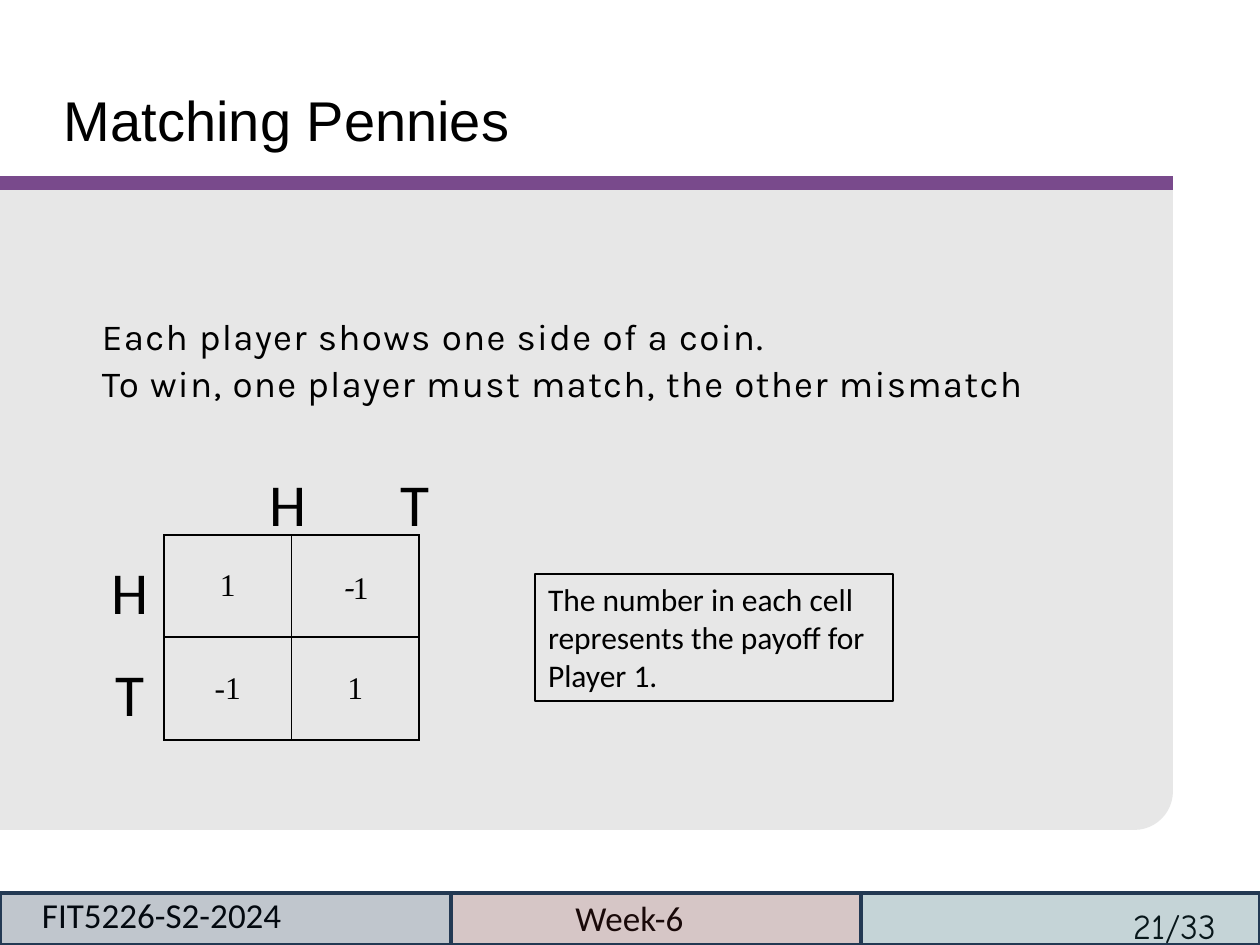
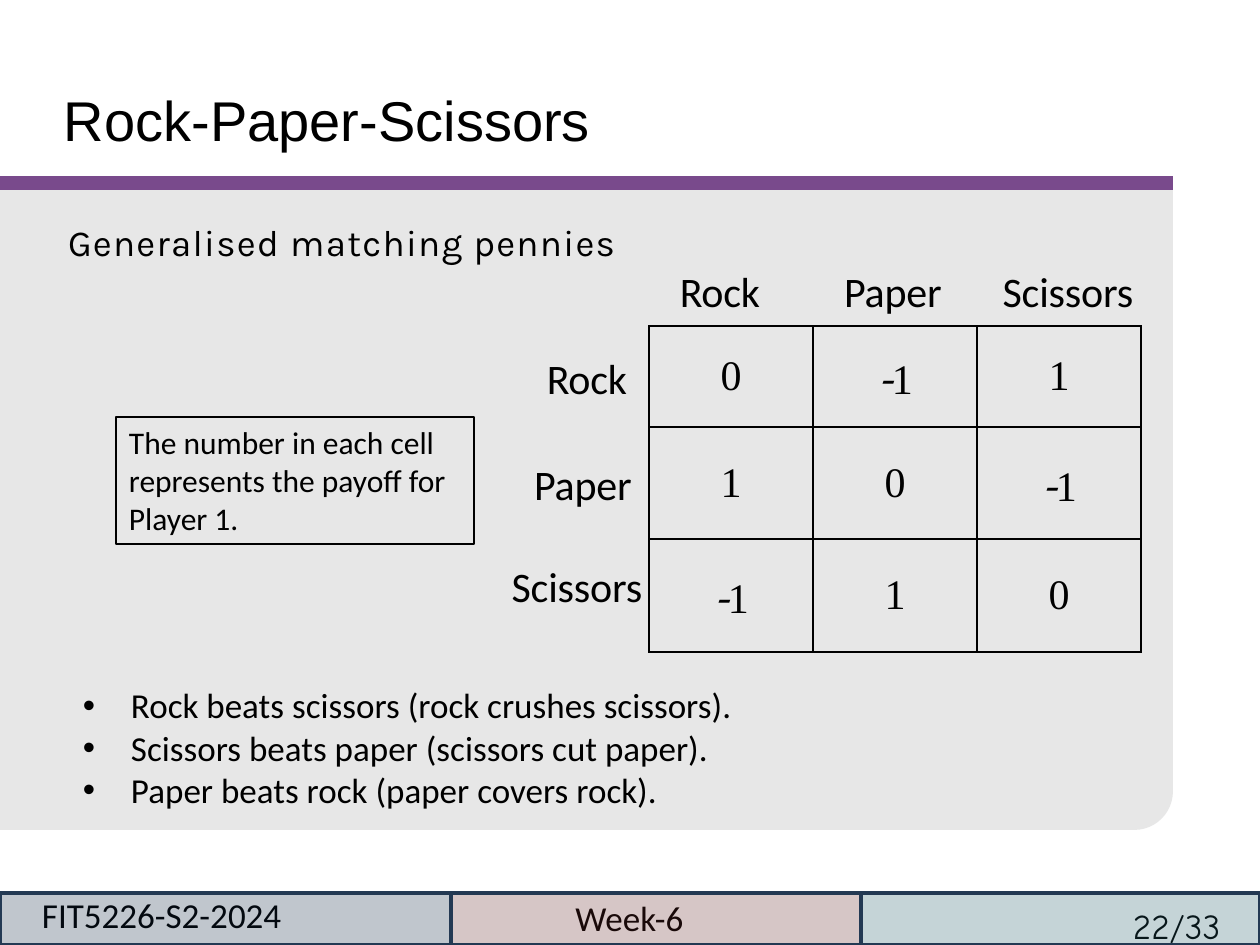
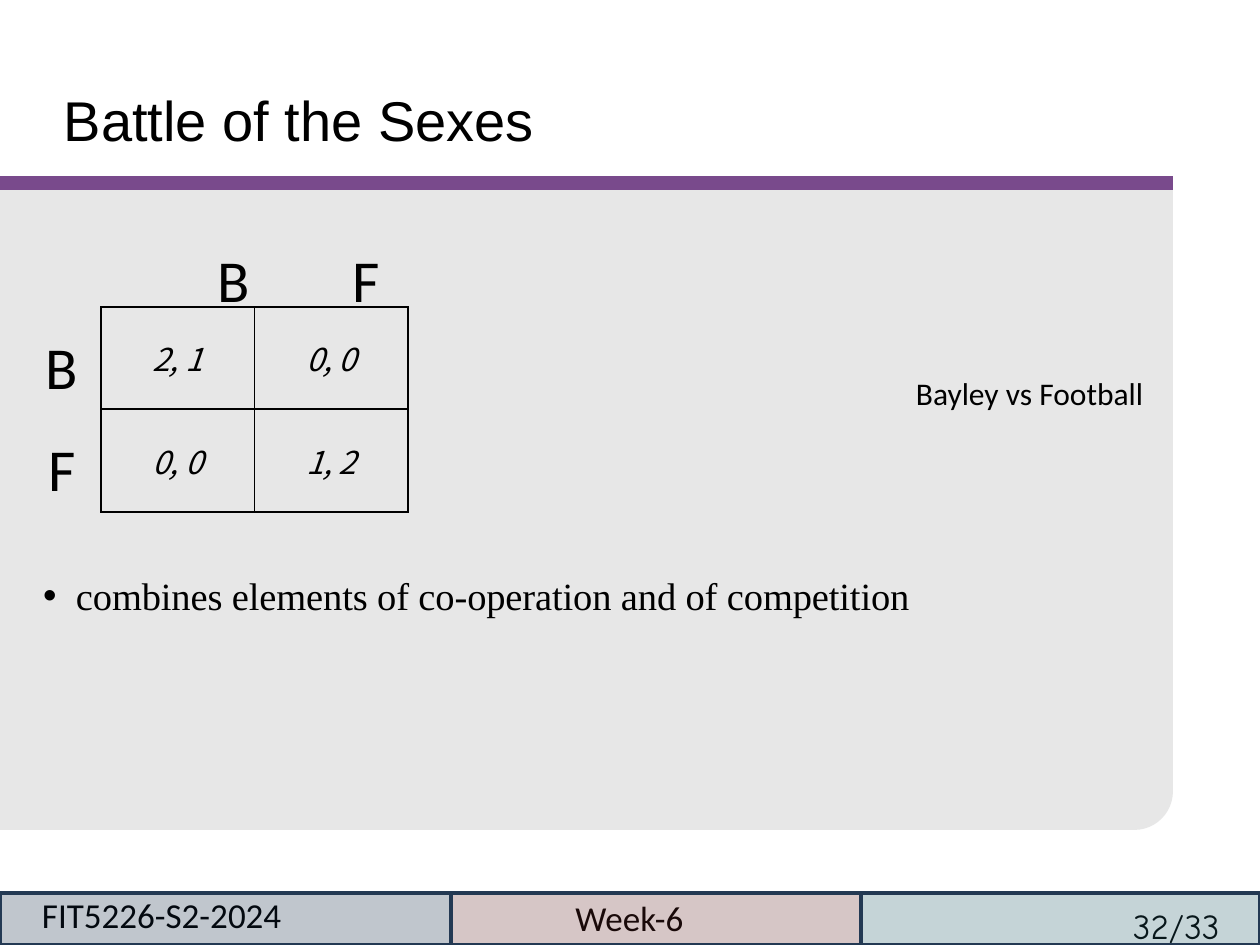
from dataclasses import dataclass

from lxml import etree
from pptx import Presentation
from pptx import util as u
from pptx.dml.color import RGBColor
from pptx.enum import shapes, text
from pptx.oxml import ns

EMU_PER_PX = 914400 / 126
WIDTH, HEIGHT = 1260, 945
TITLE_ONLY = 5


@dataclass(frozen=True)
class Theme:
    ink: str = "000000"
    panel: str = "E7E7E7"
    rule: str = "794A8C"
    footer_line: str = "233953"
    footer_fills: tuple = ("0F243E", "632523", "215968")
    footer_opacity: int = 26
    heading: str = "Arial"
    body: str = "Calibri"
    lead: str = "Karla"
    number: str = "Times New Roman"
    symbol: str = "Noto Sans CJK JP"
    page: str = "Comic Neue"
    title_size: int = 32
    lead_size: int = 21
    big_label_size: int = 34
    label_size: int = 24
    point_size: int = 22
    text_size: int = 20
    note_size: int = 18


THEME = Theme()


@dataclass(frozen=True)
class Style:
    font: str
    size: int
    italic: bool = False
    spacing: float = 0


LEAD = Style(THEME.lead, THEME.lead_size, spacing=0.75)
TEXT = Style(THEME.body, THEME.text_size)
NOTE = Style(THEME.body, THEME.note_size)
BIG_LABEL = Style(THEME.body, THEME.big_label_size)
LABEL = Style(THEME.body, THEME.label_size, spacing=-0.1)


def px(value):
    return u.Emu(round(value * EMU_PER_PX))


def color(value):
    return RGBColor.from_string(value)


def child(parent, tag, **attributes):
    return etree.SubElement(parent, ns.qn(tag), **attributes)


def add_run(paragraph, words, style):
    run = paragraph.add_run()
    run.text = words
    run.font.name = style.font
    run.font.size = u.Pt(style.size)
    run.font.italic = style.italic
    run.font.color.rgb = color(THEME.ink)
    if style.spacing:
        run.font._element.set("spc", str(round(style.spacing * 100)))


def set_bullet(paragraph, indent):
    properties = paragraph._p.get_or_add_pPr()
    properties.set("marL", str(px(indent)))
    properties.set("indent", str(-px(indent)))
    child(properties, "a:buFont", typeface="Arial")
    child(properties, "a:buChar", char="•")


def set_frame(frame, margins=(0, 0), anchor=text.MSO_ANCHOR.TOP, wrap=True):
    """Margins are the horizontal and the vertical inset."""
    frame.margin_left = frame.margin_right = px(margins[0])
    frame.margin_top = frame.margin_bottom = px(margins[1])
    frame.vertical_anchor = anchor
    frame.word_wrap = wrap


def write_lines(frame, lines, style, align=text.PP_ALIGN.LEFT, gap=0, bullet=0):
    for index, line in enumerate(lines):
        paragraph = frame.add_paragraph() if index else frame.paragraphs[0]
        paragraph.alignment = align
        if index and gap:
            paragraph.space_before = u.Pt(gap)
        if bullet:
            set_bullet(paragraph, bullet)
        add_run(paragraph, line, style)


def add_text(slide, box, lines, style, align=text.PP_ALIGN.LEFT, gap=0, bullet=0, **frame_options):
    shape = slide.shapes.add_textbox(*map(px, box))
    set_frame(shape.text_frame, **frame_options)
    write_lines(shape.text_frame, lines, style, align, gap, bullet)


def add_box(slide, kind, box, fill=None, line=None, line_width=1):
    shape = slide.shapes.add_shape(kind, *map(px, box))
    shape.shadow.inherit = False
    if fill:
        shape.fill.solid()
        shape.fill.fore_color.rgb = color(fill)
    else:
        shape.fill.background()
    if line:
        shape.line.color.rgb = color(line)
        shape.line.width = u.Pt(line_width)
    else:
        shape.line.fill.background()
    return shape


def add_panel(slide, box):
    """Grey panel, rounded at its lower right, under a thick rule."""
    left, top, width, height = box
    panel = add_box(slide, shapes.MSO_SHAPE.ROUND_1_RECTANGLE, box, THEME.panel)
    panel.adjustments[0] = round(40 / height, 2)
    panel._element.spPr.xfrm.set("flipV", "1")
    rule_y = top - 5
    rule = slide.shapes.add_connector(
        shapes.MSO_CONNECTOR.STRAIGHT, px(left), px(rule_y), px(left + width), px(rule_y))
    rule.line.color.rgb = color(THEME.rule)
    rule.line.width = u.Pt(8)
    child(rule._element.spPr, "a:effectLst")


def add_footer(slide, box, page):
    left, top, width, height = box
    add_text(slide, (left + 34, top - 7, 256, 57), ["FIT5226-S2-2024"], TEXT,
             margins=(8, 8), anchor=text.MSO_ANCHOR.MIDDLE, wrap=False)
    add_text(slide, (left + 1120, top + 5, 140, 47), [page],
             Style(THEME.page, THEME.text_size), margins=(13, 6), wrap=False)
    add_text(slide, (left + 428, top + 4, 403, 48), ["Week-6"], TEXT, text.PP_ALIGN.CENTER)
    edges = (0, 451, 861, width)
    for start, end, fill in zip(edges, edges[1:], THEME.footer_fills):
        band = add_box(slide, shapes.MSO_SHAPE.RECTANGLE, (left + start, top, end - start, height),
                       fill, THEME.footer_line, 2)
        fill_color = band._element.spPr.find(".//" + ns.qn("a:srgbClr"))
        child(fill_color, "a:alpha", val=str(THEME.footer_opacity * 1000))


def new_slide(presentation, title, page):
    slide = presentation.slides.add_slide(presentation.slide_layouts[TITLE_ONLY])
    heading = slide.shapes.title
    heading.left, heading.top, heading.width, heading.height = map(px, (63, 79, 1133, 70))
    set_frame(heading.text_frame, margins=(1, 6))
    write_lines(heading.text_frame, [title], Style(THEME.heading, THEME.title_size))
    add_panel(slide, (0, 188, 1173, 642))
    add_footer(slide, (0, 893, WIDTH, 52), page)
    return slide


def add_borders(cell):
    properties = cell._tc.get_or_add_tcPr()
    for index, side in enumerate(("a:lnL", "a:lnR", "a:lnT", "a:lnB")):
        line = etree.Element(ns.qn(side), w=str(u.Pt(1)))
        child(child(line, "a:solidFill"), "a:srgbClr", val=THEME.ink)
        properties.insert(index, line)


def add_payoffs(slide, box, row_heights, payoffs):
    """Each payoff is a list of (words, style) runs."""
    column_count = len(payoffs[0])
    table = slide.shapes.add_table(len(payoffs), column_count, *map(px, box)).table
    table.first_row = table.horz_banding = False
    for column in table.columns:
        column.width = px(box[2] / column_count)
    for row, height, row_payoffs in zip(table.rows, row_heights, payoffs):
        row.height = px(height)
        for cell, runs in zip(row.cells, row_payoffs):
            cell.fill.solid()
            cell.fill.fore_color.rgb = color(THEME.panel)
            cell.margin_left = cell.margin_right = cell.margin_top = cell.margin_bottom = 0
            cell.vertical_anchor = text.MSO_ANCHOR.MIDDLE
            add_borders(cell)
            paragraph = cell.text_frame.paragraphs[0]
            paragraph.alignment = text.PP_ALIGN.CENTER
            for words, style in runs:
                add_run(paragraph, words, style)


def add_game(slide, box, row_heights, payoffs, moves, column_centers, row_centers, style):
    """Payoff table with its moves; the centers are offsets from the table's corner."""
    left, top = box[:2]
    width, height = 140, round(style.size * 2.14)
    for centers in (column_centers, row_centers):
        for move, (x, y) in zip(moves, centers):
            label_box = (left + x - width // 2, top + y - height // 2, width, height)
            add_text(slide, label_box, [move], style, text.PP_ALIGN.CENTER)
    add_payoffs(slide, box, row_heights, payoffs)


def number_runs(size):
    """Runs for 0, for 1 and for -1 with a slanted minus."""
    number = Style(THEME.number, size)
    minus = Style(THEME.symbol, size, italic=True, spacing=-0.5)
    return [("0", number)], [("1", number)], [("-", minus), ("1", number)]


def add_payoff_note(slide, left, top):
    note = add_box(slide, shapes.MSO_SHAPE.RECTANGLE, (left, top, 358, 127),
                   line=THEME.ink, line_width=0.75)
    set_frame(note.text_frame, margins=(13, 6))
    write_lines(note.text_frame,
                ["The number in each cell represents the payoff for Player 1."], NOTE)


def build_matching_pennies(presentation):
    slide = new_slide(presentation, "Matching Pennies", "21/33")
    add_text(slide, (102, 314, 950, 96),
             ["Each player shows one side of a coin.",
              "To win, one player must match, the other mismatch"], LEAD, gap=1.6)
    _, win, loss = number_runs(THEME.note_size)
    plain_loss = [("-1", Style(THEME.number, THEME.note_size))]
    add_game(slide, (164, 535, 255, 205), (102, 103), [[win, loss], [plain_loss, win]],
             "HT", ((124, -32), (251, -32)), ((-34, 56), (-34, 158)), BIG_LABEL)
    add_payoff_note(slide, 535, 574)


def build_rock_paper_scissors(presentation):
    slide = new_slide(presentation, "Rock-Paper-Scissors", "22/33")
    add_text(slide, (68, 220, 563, 44), ["Generalised matching pennies"], LEAD)
    draw, win, loss = number_runs(THEME.label_size)
    add_game(slide, (649, 326, 492, 326), (101, 112, 113),
             [[draw, loss, win], [win, draw, loss], [loss, win, draw]],
             ("Rock", "Paper", "Scissors"), ((71, -35), (244, -35), (419, -35)),
             ((-62, 52), (-66, 158), (-72, 260)), LABEL)
    add_text(slide, (70, 678, 1120, 140),
             ["Rock beats scissors (rock crushes scissors).",
              "Scissors beats paper (scissors cut paper).",
              "Paper beats rock (paper covers rock)."], TEXT, bullet=48, margins=(13, 6))
    add_payoff_note(slide, 116, 417)


def build_battle_of_the_sexes(presentation):
    slide = new_slide(presentation, "Battle of the Sexes", "32/33")
    add_text(slide, (43, 572, 876, 42), ["combines elements of co-operation and of competition"],
             Style(THEME.number, THEME.point_size, spacing=-0.05), bullet=33)
    pair = Style(THEME.symbol, THEME.note_size, italic=True, spacing=-0.1)
    payoffs = [[[(words, pair)] for words in row] for row in (("2, 1", "0, 0"), ("0, 0", "1, 2"))]
    add_game(slide, (101, 307, 307, 205), (102, 103), payoffs,
             "BF", ((133, -28), (265, -28)), ((-39, 59), (-39, 161)), BIG_LABEL)
    add_text(slide, (903, 368, 255, 50), ["Bayley vs Football"], NOTE, margins=(13, 6), wrap=False)


def main():
    presentation = Presentation()
    presentation.slide_width, presentation.slide_height = px(WIDTH), px(HEIGHT)
    build_matching_pennies(presentation)
    build_rock_paper_scissors(presentation)
    build_battle_of_the_sexes(presentation)
    presentation.save("out.pptx")


if __name__ == "__main__":
    main()
